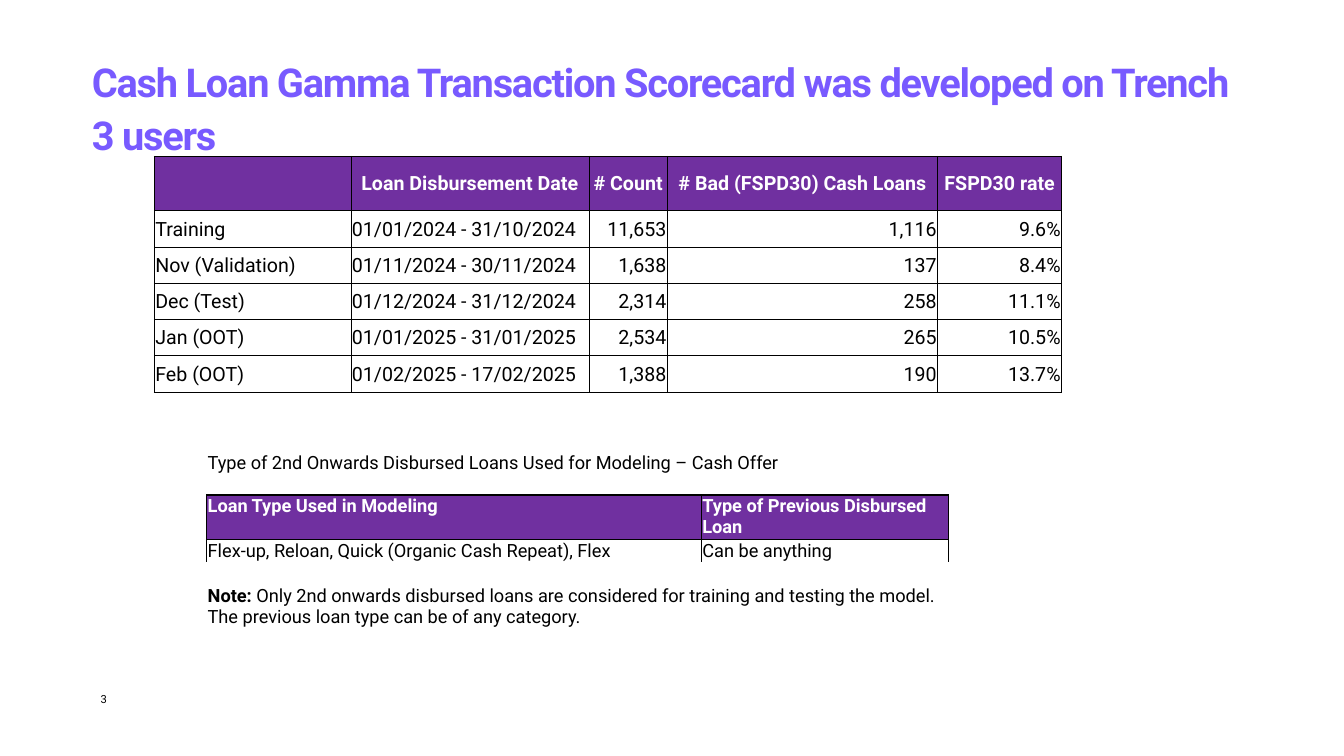
from lxml import etree
from pptx import Presentation
from pptx.dml.color import RGBColor
from pptx.enum.text import MSO_ANCHOR, PP_ALIGN
from pptx.oxml.ns import qn
from pptx.util import Inches, Pt

LEFT, CENTER, RIGHT = PP_ALIGN.LEFT, PP_ALIGN.CENTER, PP_ALIGN.RIGHT
TOP, MIDDLE = MSO_ANCHOR.TOP, MSO_ANCHOR.MIDDLE
BLACK = RGBColor(0x00, 0x00, 0x00)
WHITE = RGBColor(0xFF, 0xFF, 0xFF)
VIOLET = RGBColor(0x78, 0x5A, 0xFF)
PURPLE = RGBColor(0x70, 0x30, 0xA0)

WIDTH, HEIGHT = Inches(13.33), Inches(7.5)
FONT = "Roboto"

TITLE = "Cash Loan Gamma Transaction Scorecard was developed on Trench 3 users"
SAMPLE_COLS = (195, 236, 78, 268, 123)
SAMPLE_ROWS = (3, 2, 2, 2, 2, 2)
SAMPLE_ALIGNS = (LEFT, LEFT, RIGHT, RIGHT, RIGHT)
SAMPLES = (
    ("", "Loan Disbursement Date", "# Count", "# Bad (FSPD30) Cash Loans", "FSPD30 rate"),
    ("Training", "01/01/2024 - 31/10/2024", "11,653", "1,116", "9.6%"),
    ("Nov (Validation)", "01/11/2024 - 30/11/2024", "1,638", "137", "8.4%"),
    ("Dec (Test)", "01/12/2024 - 31/12/2024", "2,314", "258", "11.1%"),
    ("Jan (OOT)", "01/01/2025 - 31/01/2025", "2,534", "265", "10.5%"),
    ("Feb (OOT)", "01/02/2025 - 17/02/2025", "1,388", "190", "13.7%"),
)
LOAN_COLS = (2, 1)
LOAN_ROWS = (2, 2, 1, 1, 2)
LOAN_CAPTION = "Type of 2nd Onwards Disbursed Loans Used for Modeling – Cash Offer"
LOAN_HEADER = ("Loan Type Used in Modeling", "Type of Previous Disbursed Loan")
LOAN_TYPES = ("Flex-up, Reloan, Quick (Organic Cash Repeat), Flex", "Can be anything")
NOTE = (
    " Only 2nd onwards disbursed loans are considered for training and testing "
    "the model. The previous loan type can be of any category."
)


def share(left, top, width, height):
    return [int(size * pct / 100) for size, pct in
            zip((WIDTH, HEIGHT, WIDTH, HEIGHT), (left, top, width, height))]


def set_attrs(obj, **values):
    for name, value in values.items():
        setattr(obj, name, value)


def add_run(p, text, size, color=BLACK, bold=False):
    r = p.add_run()
    r.text = text
    set_attrs(r.font, name=FONT, size=Pt(size), bold=bold)
    r.font.color.rgb = color
    return r


def add_text(s, box, text, size, color=BLACK, bold=False):
    tf = s.shapes.add_textbox(*share(*box)).text_frame
    set_attrs(tf, word_wrap=True, margin_left=0, margin_top=0,
              margin_right=0, margin_bottom=0)
    p = tf.paragraphs[0]
    return p, add_run(p, text, size, color, bold)


def add_grid(s, box, cols, rows):
    left, top, width, height = share(*box)
    table = s.shapes.add_table(len(rows), len(cols), left, top, width, height).table
    for col, weight in zip(table.columns, cols):
        col.width = int(width * weight / sum(cols))
    for row, weight in zip(table.rows, rows):
        row.height = int(height * weight / sum(rows))
    return table


def add_borders(cell, width):
    tc_pr = cell._tc.get_or_add_tcPr()
    for side in ("lnL", "lnR", "lnT", "lnB"):
        ln = etree.SubElement(tc_pr, qn("a:" + side), w=str(Pt(width)))
        fill = etree.SubElement(ln, qn("a:solidFill"))
        etree.SubElement(fill, qn("a:srgbClr"), val=str(BLACK))


def fill_cell(cell, runs, size, align=LEFT, anchor=MIDDLE, color=BLACK,
              fill=None, border=None):
    edge = Inches(0.01)
    set_attrs(cell, margin_left=edge, margin_top=edge, margin_right=edge,
              margin_bottom=0, vertical_anchor=anchor)
    if border:
        add_borders(cell, border)
    if fill is None:
        cell.fill.background()
    else:
        cell.fill.solid()
        cell.fill.fore_color.rgb = fill
    p = cell.text_frame.paragraphs[0]
    p.alignment = align
    for text, bold in runs:
        if text:
            add_run(p, text, size, color, bold)
        else:
            etree.SubElement(p._p, qn("a:endParaRPr"), sz=str(size * 100))


def add_samples(s):
    table = add_grid(s, (11.48, 20.67, 67.52, 31.2), SAMPLE_COLS, SAMPLE_ROWS)
    for i, row in enumerate(SAMPLES):
        for j, text in enumerate(row):
            if i == 0:
                style = dict(align=CENTER, color=WHITE, fill=PURPLE)
            else:
                style = dict(align=SAMPLE_ALIGNS[j])
            fill_cell(table.cell(i, j), [(text, i == 0)], 14, border=0.5, **style)


def add_loan_types(s):
    table = add_grid(s, (15.38, 59.73, 55.21, 22.93), LOAN_COLS, LOAN_ROWS)
    for i in (0, 4):
        table.cell(i, 0).merge(table.cell(i, 1))
    fill_cell(table.cell(0, 0), [(LOAN_CAPTION, False)], 13, anchor=TOP)
    for j, (head, kind) in enumerate(zip(LOAN_HEADER, LOAN_TYPES)):
        fill_cell(table.cell(1, j), [(head, True)], 13, anchor=TOP, color=WHITE,
                  fill=PURPLE, border=1)
        fill_cell(table.cell(2, j), [(kind, False)], 13, anchor=TOP, border=1)
        fill_cell(table.cell(3, j), [("", False)], 8)
    fill_cell(table.cell(4, 0), [("Note:", True), (NOTE, False)], 13)


def main():
    prs = Presentation()
    set_attrs(prs, slide_width=WIDTH, slide_height=HEIGHT)
    s = prs.slides.add_slide(prs.slide_layouts[6])
    add_text(s, (7.5, 91.6, 21.91, 3.33), "3", 8)
    p, r = add_text(s, (6.83, 7.07, 85.07, 7.07), TITLE, 28.4, VIOLET, True)
    p.line_spacing = 1.1
    r.font._element.set("spc", "-90")
    add_samples(s)
    add_loan_types(s)
    prs.save("out.pptx")


if __name__ == "__main__":
    main()
